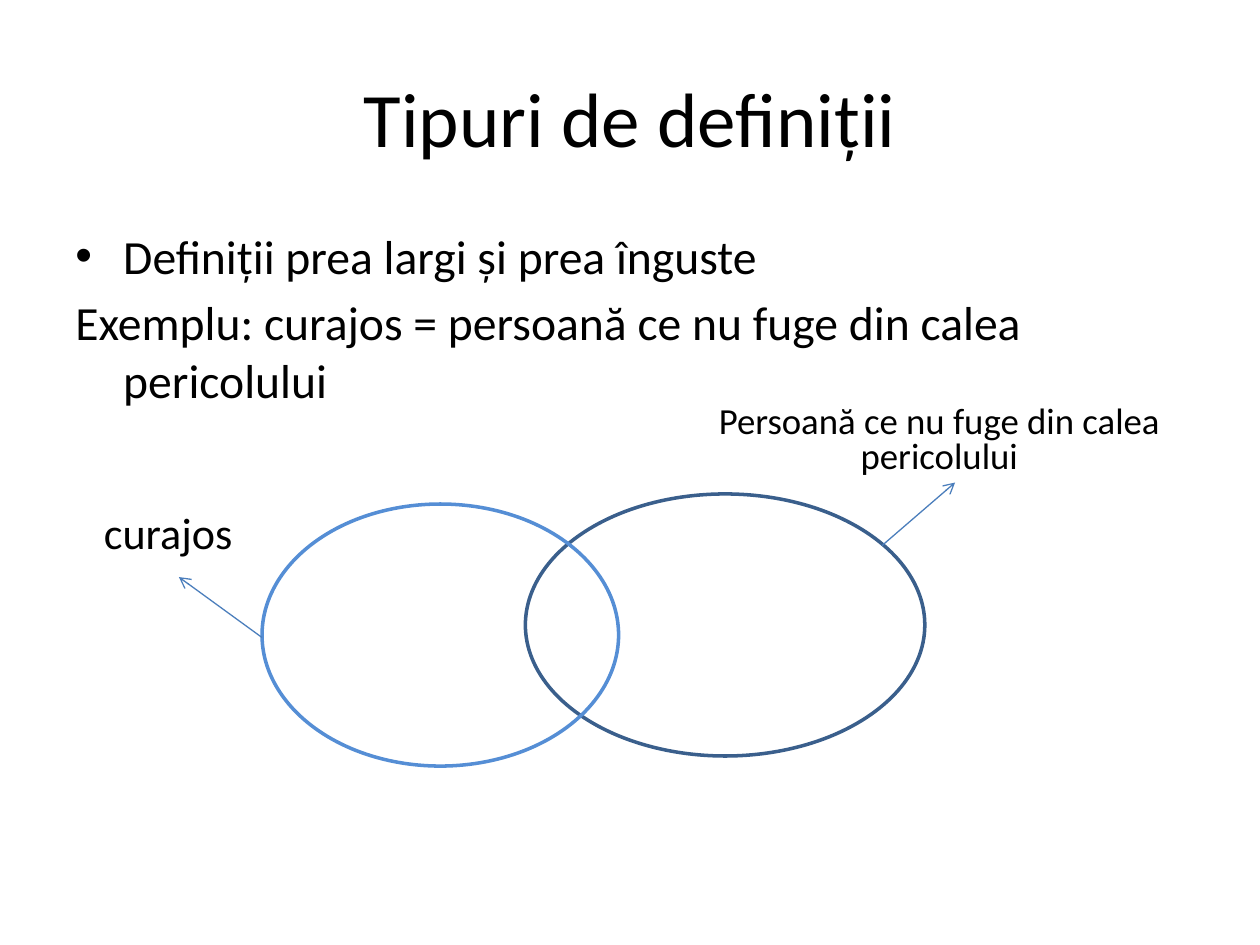
from lxml.etree import SubElement
from pptx import Presentation
from pptx.dml.color import RGBColor
from pptx.enum.shapes import MSO_CONNECTOR, MSO_SHAPE
from pptx.enum.text import MSO_ANCHOR, PP_ALIGN
from pptx.oxml.ns import qn
from pptx.util import Inches, Pt

COLORS = {"text": "000000", "dark": "3A5F8C", "light": "558ED5", "arrow": "4B7EBC"}
FONT = "Calibri"


def color(name):
    return RGBColor.from_string(COLORS[name])


def style(para, size):
    for run in para.runs:
        run.font.name = FONT
        run.font.size = Pt(size)
        run.font.color.rgb = color("text")


def add_box(slide, area, text):
    box = slide.shapes.add_textbox(*map(Inches, area))
    frame = box.text_frame
    frame.word_wrap = True
    frame.text = text
    return frame


def add_label(slide, area, text, size, spacing=1.0):
    frame = add_box(slide, area, text)
    frame.vertical_anchor = MSO_ANCHOR.MIDDLE
    para = frame.paragraphs[0]
    para.alignment = PP_ALIGN.CENTER
    para.line_spacing = spacing
    style(para, size)


def add_body(slide, area, lines, size):
    frame = add_box(slide, area, "\n".join(text for text, mark in lines))
    for index, (para, (text, mark)) in enumerate(zip(frame.paragraphs, lines)):
        props = para._p.get_or_add_pPr()
        props.set("marL", str(Inches(0.38)))
        props.set("indent", str(Inches(-0.38)))
        if mark:
            SubElement(props, qn("a:buFont"), typeface="Arial")
            SubElement(props, qn("a:buChar"), char=mark)
        else:
            SubElement(props, qn("a:buNone"))
        if index:
            para.space_before = Pt(size * 0.2)
        style(para, size)


def add_oval(slide, area, name):
    oval = slide.shapes.add_shape(MSO_SHAPE.OVAL, *map(Inches, area))
    oval.shadow.inherit = False
    oval.fill.background()
    oval.line.color.rgb = color(name)
    oval.line.width = Pt(2)


def add_arrow(slide, start, end):
    arrow = slide.shapes.add_connector(
        MSO_CONNECTOR.STRAIGHT, *map(Inches, start + end))
    arrow.line.color.rgb = color("arrow")
    arrow.line.width = Pt(0.75)
    SubElement(arrow.line._get_or_add_ln(), qn("a:tailEnd"), type="arrow")
    SubElement(arrow._element.spPr, qn("a:effectLst"))


def main():
    """Build the slide on types of definitions and save it."""
    deck = Presentation()
    deck.slide_width, deck.slide_height = Inches(10), Inches(7.5)
    slide = deck.slides.add_slide(deck.slide_layouts[6])

    add_oval(slide, (4.17, 3.92, 3.17, 2.08), "dark")
    add_label(slide, (0.5, 0.3, 9, 1.25), "Tipuri de definiții", 44)
    add_body(slide, (0.5, 1.75, 9, 1.33), [
        ("Definiții prea largi și prea înguste", "•"),
        ("Exemplu: curajos = persoană ce nu fuge din calea pericolului", None),
    ], 27.2)
    add_oval(slide, (2.08, 4, 2.83, 2.08), "light")
    add_arrow(slide, (2.08, 5.06), (1.42, 4.58))
    add_arrow(slide, (7, 4.33), (7.58, 3.83))
    add_label(slide, (0.42, 4, 1.83, 0.5), "curajos", 25.2, 0.9)
    add_label(slide, (5.08, 3.17, 4.75, 0.67),
              "Persoană ce nu fuge din calea pericolului", 21, 0.8)

    deck.save("out.pptx")


if __name__ == "__main__":
    main()
